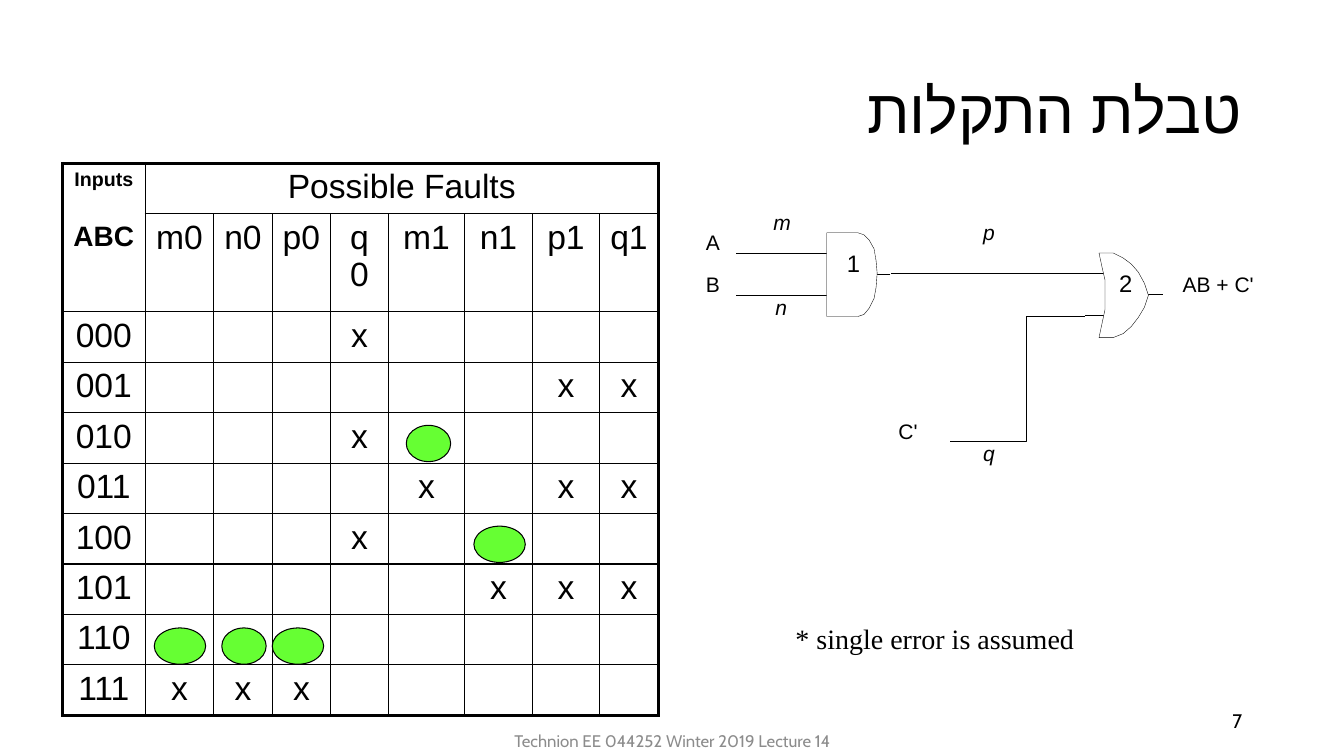
"""Build the fault table slide with its two-gate logic circuit."""
from dataclasses import dataclass

from lxml import etree
from pptx import Presentation
from pptx.dml.color import RGBColor
from pptx.enum.shapes import MSO_CONNECTOR, MSO_SHAPE
from pptx.enum.text import MSO_ANCHOR, PP_ALIGN
from pptx.oxml import parse_xml
from pptx.oxml.ns import nsdecls, qn
from pptx.util import Inches, Pt

LEFT, CENTER, RIGHT = PP_ALIGN.LEFT, PP_ALIGN.CENTER, PP_ALIGN.RIGHT
TOP, MIDDLE = MSO_ANCHOR.TOP, MSO_ANCHOR.MIDDLE
STRAIGHT, OVAL = MSO_CONNECTOR.STRAIGHT, MSO_SHAPE.OVAL
TITLE_ONLY = 5


@dataclass(frozen=True)
class Theme:
    ink: str = "000000"
    paper: str = "FFFFFF"
    mark: str = "66FF33"
    muted: str = "8C8C8C"
    sans: str = "Arial"
    small_font: str = "Cabin"
    serif: str = "Times New Roman"
    title: float = 44
    table: float = 24
    inputs: float = 14
    variables: float = 20
    note: float = 20
    gate: float = 17
    label: float = 15
    page_number: float = 14
    footer: float = 12
    wire: float = 0.25
    mark_line: float = 0.75
    grid: float = 1
    frame: float = 2.25


class FaultSlide:
    def __init__(self, page, theme):
        self.page = page
        self.theme = theme

    def format(self, para, size, font=None, color=None, align=LEFT, bold=False, italic=False, rtl=False):
        para.alignment = align
        if rtl:
            para._p.get_or_add_pPr().set("rtl", "1")
        for span in para.runs:
            span.font.size = Pt(size)
            span.font.name = font or self.theme.sans
            span.font.bold = bold
            span.font.italic = italic
            span.font.color.rgb = RGBColor.from_string(color or self.theme.ink)
            if rtl:
                script = etree.SubElement(span.font._element, qn("a:cs"))
                script.set("typeface", font or self.theme.sans)

    def title(self, text, left, top, width, height):
        box = self.page.shapes.title
        box.left, box.top, box.width, box.height = map(Inches, (left, top, width, height))
        frame = box.text_frame
        frame.text = text
        frame.vertical_anchor = MIDDLE
        para = frame.paragraphs[0]
        para.line_spacing = 0.9
        self.format(para, self.theme.title, align=RIGHT, rtl=True)

    def text(self, text, left, top, width, height, size, anchor=TOP, wrap=True, **style):
        box = self.page.shapes.add_textbox(*map(Inches, (left, top, width, height)))
        frame = box.text_frame
        frame.word_wrap = wrap
        frame.vertical_anchor = anchor
        frame.text = text
        self.format(frame.paragraphs[0], size, **style)
        return frame

    def label(self, text, left, top, width, size, height=0.46, italic=False):
        frame = self.text(text, left, top, width, height, size, wrap=False, italic=italic)
        frame.margin_left = frame.margin_right = frame.margin_top = frame.margin_bottom = 0

    def paint(self, shape, fill, width):
        shape.shadow.inherit = False
        if fill:
            shape.fill.solid()
            shape.fill.fore_color.rgb = RGBColor.from_string(fill)
        else:
            shape.fill.background()
        shape.line.color.rgb = RGBColor.from_string(self.theme.ink)
        shape.line.width = Pt(width)

    def mark(self, left, top, width):
        oval = self.page.shapes.add_shape(OVAL, *map(Inches, (left, top, width, 0.36)))
        self.paint(oval, self.theme.mark, self.theme.mark_line)

    def wire(self, x1, y1, x2, y2):
        line = self.page.shapes.add_connector(STRAIGHT, *map(Inches, (x1, y1, x2, y2)))
        line.line.color.rgb = RGBColor.from_string(self.theme.ink)
        line.line.width = Pt(self.theme.wire)
        etree.SubElement(line._element.spPr, qn("a:effectLst"))

    def outline(self, points, fill=None):
        corners = [(Inches(x), Inches(y)) for x, y in points]
        builder = self.page.shapes.build_freeform(*corners[0])
        builder.add_line_segments(corners[1:], close=bool(fill))
        self.paint(builder.convert_to_shape(), fill, self.theme.wire)

    def gate(self, number, left, top, points):
        middle = left + 0.25
        for x, y in ((-0.14, 0.2), (-0.14, 0.62), (0.63, 0.41)):
            self.wire(left + x, top + y, middle, top + y)
        self.outline([(left + x, top + y) for x, y in points], self.theme.paper)
        self.label(number, left + 0.2, top + 0.16, 0.24, self.theme.gate, 0.52)

    def cell(self, cell, lines, edges):
        frame = cell.text_frame
        frame.text = "\n".join(text for text, *_ in lines)
        for para, (_, size, bold, before) in zip(frame.paragraphs, lines):
            para.space_before = Pt(before)
            self.format(para, size, align=CENTER, bold=bold, rtl=True)
        cell.fill.background()
        properties = cell._tc.get_or_add_tcPr()
        for index, (side, outer) in enumerate(zip("LRTB", edges)):
            width = Pt(self.theme.frame if outer else self.theme.grid)
            properties.insert(index, parse_xml(
                f'<a:ln{side} {nsdecls("a")} w="{width}"><a:solidFill>'
                f'<a:srgbClr val="{self.theme.ink}"/></a:solidFill></a:ln{side}>'))

    def table(self, left, top, widths, heights, rows):
        theme = self.theme
        box = self.page.shapes.add_table(len(heights), len(widths), *map(
            Inches, (left, top, sum(widths), sum(heights))))
        table = box.table
        table.first_row = table.horz_banding = False
        for column, width in zip(table.columns, widths):
            column.width = Inches(width)
        for row, height in zip(table.rows, heights):
            row.height = Inches(height)
        table.cell(0, 0).merge(table.cell(1, 0))
        table.cell(0, 1).merge(table.cell(0, len(widths) - 1))
        for r, row in enumerate(rows):
            for c, text in enumerate(row):
                cell = table.cell(r, c)
                lines = [(text, theme.table, False, 1)]
                if r == c == 0:
                    first, second = text.split()
                    lines = [(first, theme.inputs, True, 1), (second, theme.variables, True, 22)]
                edges = (c == 0, c + cell.span_width == len(widths),
                         r == 0, r + cell.span_height == len(heights))
                self.cell(cell, lines, edges)


AND_GATE = [(0.31, 0.83), (0, 0.83), (0, 0), (0.31, 0), (0.37, 0.02), (0.42, 0.07), (0.47, 0.16),
            (0.49, 0.28), (0.5, 0.4), (0.49, 0.54), (0.47, 0.65), (0.42, 0.75), (0.37, 0.81)]
OR_GATE = [(0.49, 0.42), (0.45, 0.54), (0.39, 0.64), (0.32, 0.73), (0.24, 0.8), (0.14, 0.84),
           (0, 0.84), (0.03, 0.7), (0.06, 0.56), (0.06, 0.42), (0.06, 0.27), (0.03, 0.14), (0, 0),
           (0.14, 0), (0.24, 0.05), (0.32, 0.11), (0.39, 0.19), (0.45, 0.3)]
FAULTS = ["m0", "n0", "p0", "q0", "m1", "n1", "p1", "q1"]
DETECTED = {"000": ["q0"], "001": ["p1", "q1"], "010": ["q0"], "011": ["m1", "p1", "q1"],
            "100": ["q0"], "101": ["n1", "p1", "q1"], "110": [], "111": ["m0", "n0", "p0"]}
COLUMN_WIDTHS = [0.82, 0.68, 0.58, 0.58, 0.57, 0.76, 0.67, 0.67, 0.58]
ROW_HEIGHTS = [0.5, 0.94] + [0.5] * len(DETECTED)
MARKS = [(4.03, 4.22, 0.44), (4.7, 5.22, 0.51), (1.53, 6.23, 0.51), (2.2, 6.23, 0.44), (2.7, 6.23, 0.51)]
PORTS = [("A", 7, 2.28, 0.25), ("B", 7, 2.69, 0.25), ("C'", 8.91, 4.15, 0.35), ("AB + C'", 11.73, 2.69, 1.29)]
NETS = [("m", 7.67, 2.08, 0.32), ("n", 7.69, 2.92, 0.21), ("p", 9.75, 2.18, 0.21), ("q", 9.75, 4.37, 0.21)]


def main():
    deck = Presentation()
    deck.slide_width, deck.slide_height = Inches(13.33), Inches(7.5)
    theme = Theme()
    slide = FaultSlide(deck.slides.add_slide(deck.slide_layouts[TITLE_ONLY]), theme)
    slide.text("7", 9.42, 6.95, 3, 0.4, theme.page_number, MIDDLE, font=theme.small_font, align=RIGHT)
    slide.title("טבלת התקלות", 0.92, 0.4, 11.5, 1.45)
    for mark in MARKS:
        slide.mark(*mark)
    rows = [["Inputs ABC", "Possible Faults"] + [""] * (len(FAULTS) - 1), [""] + FAULTS]
    rows += [[inputs] + ["x" if fault in found else "" for fault in FAULTS]
             for inputs, found in DETECTED.items()]
    slide.table(0.62, 1.62, COLUMN_WIDTHS, ROW_HEIGHTS, rows)
    slide.gate("1", 8.2, 2.31, AND_GATE)
    slide.gate("2", 10.9, 2.51, OR_GATE)
    for wire in ((8.84, 2.71, 10.76, 2.71), (7.3, 2.51, 8.07, 2.51), (7.3, 2.93, 8.07, 2.93)):
        slide.wire(*wire)
    slide.outline([(10.76, 3.14), (10.18, 3.14), (10.18, 4.38), (9.42, 4.38)])
    for port in PORTS:
        slide.label(*port, theme.label)
    for net in NETS:
        slide.label(*net, theme.label, italic=True)
    slide.text("Technion EE 044252 Winter 2019 Lecture 14", 4.56, 7.23, 4.22, 0.23, theme.footer, MIDDLE,
               font=theme.small_font, color=theme.muted, align=CENTER)
    slide.text("* single error is assumed", 7.79, 6.12, 4.03, 0.5, theme.note, wrap=False, font=theme.serif)
    deck.save("out.pptx")


if __name__ == "__main__":
    main()
